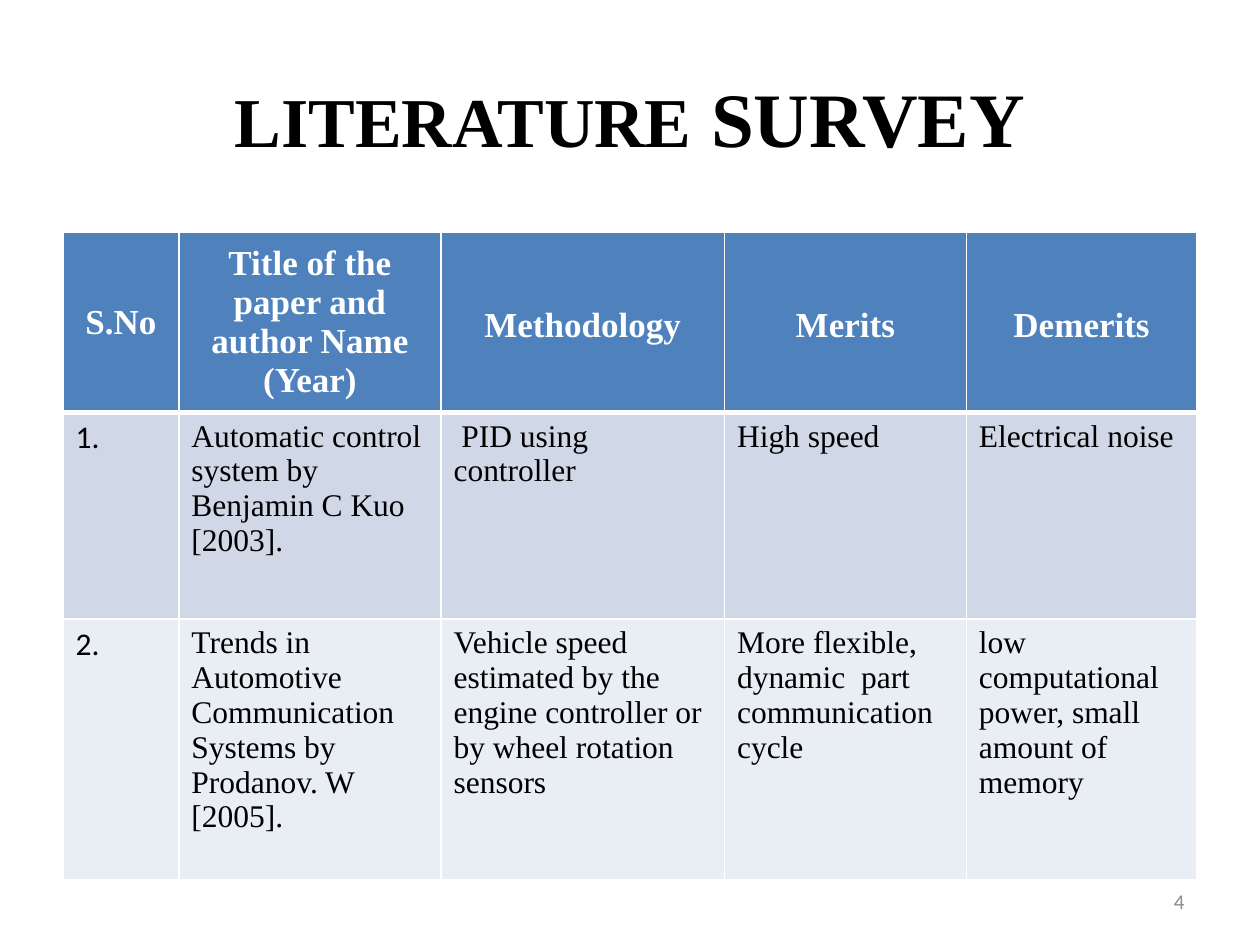
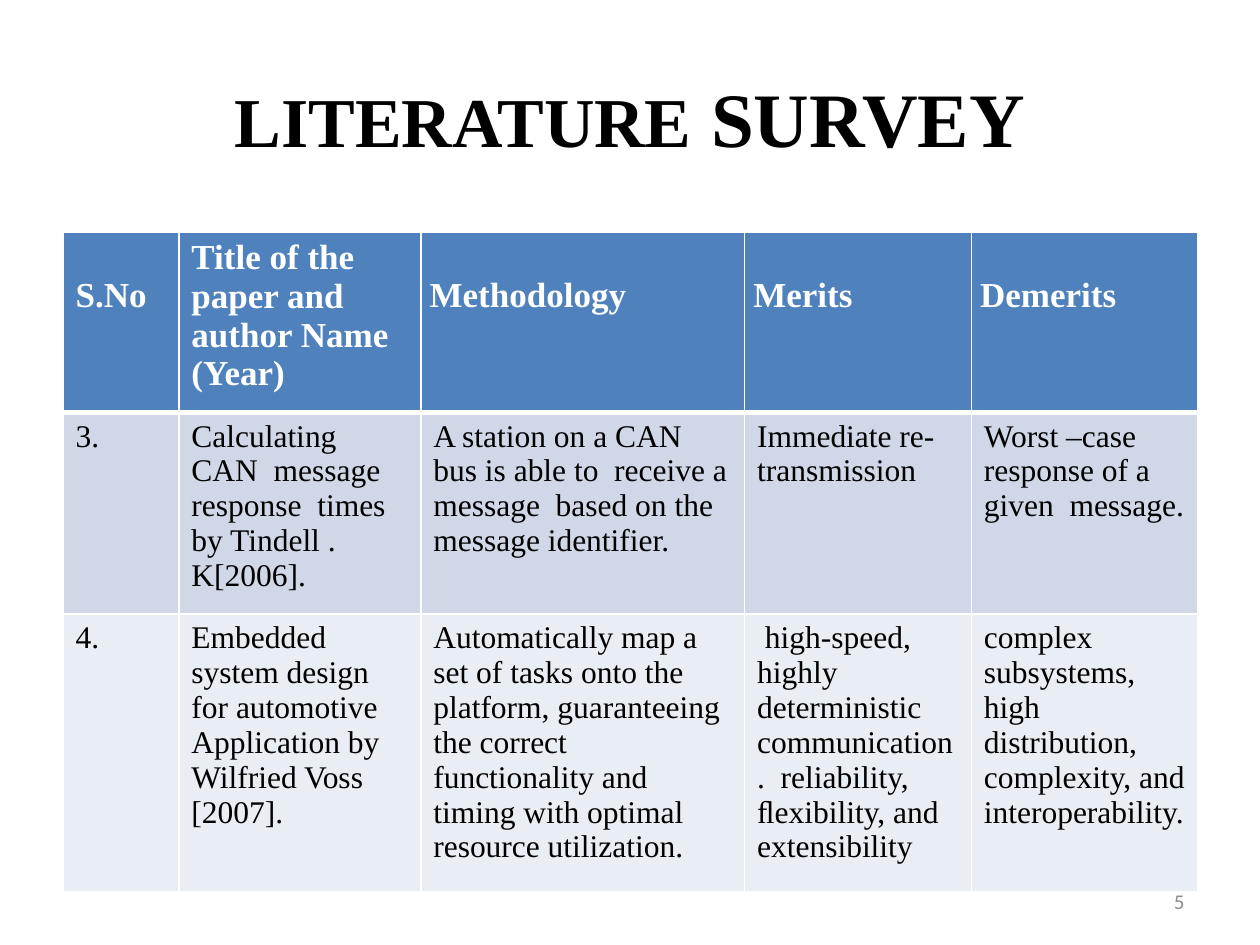
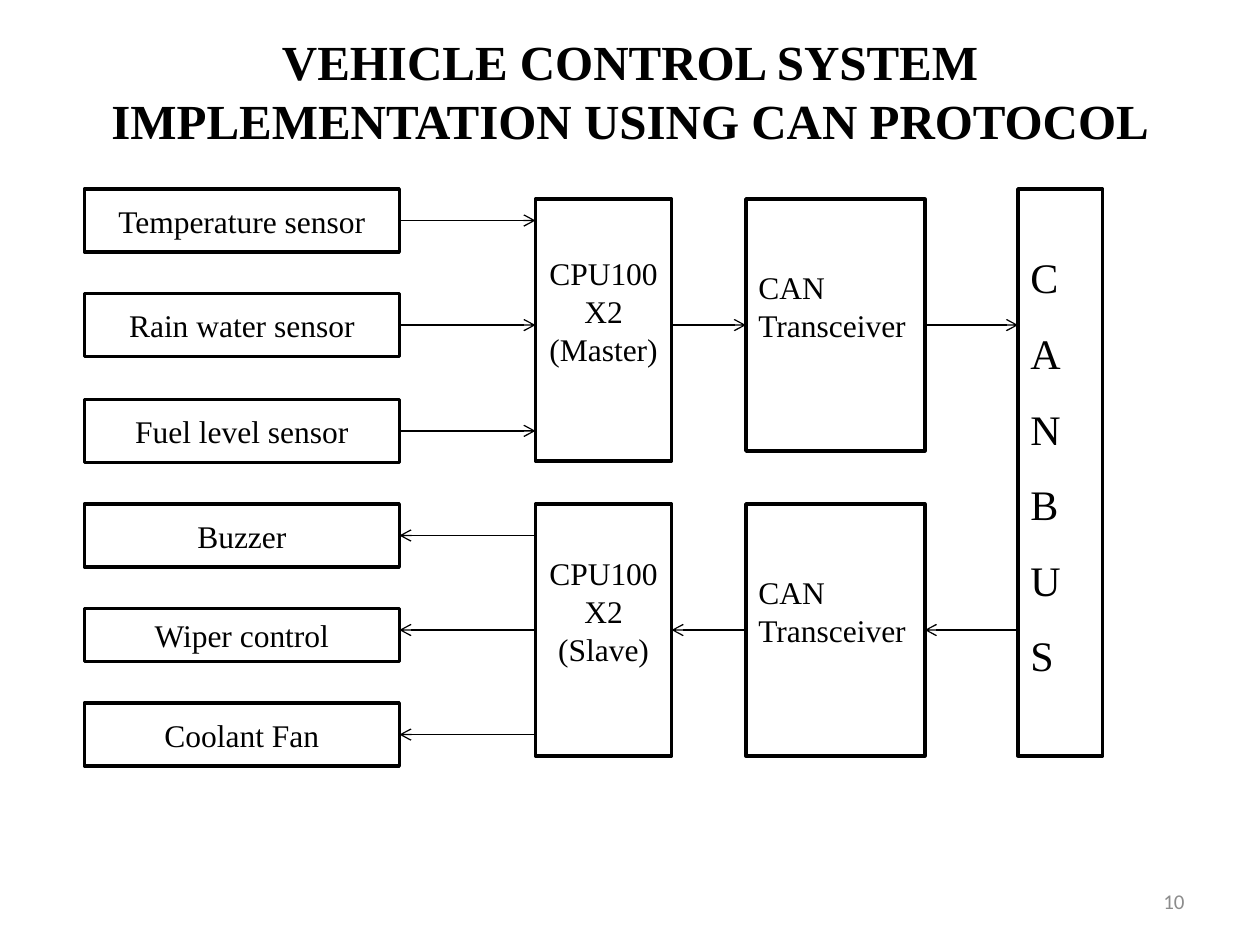
from lxml import etree
from pptx import Presentation, util as u
from pptx.dml.color import RGBColor
from pptx.enum import shapes, text
from pptx.oxml import ns

SERIF, SANS = "Times New Roman", "Calibri"
BLACK, WHITE, GREY = "000000", "FFFFFF", "8C8C8C"
HEADER_FILL, ROW_FILLS = "4F81BD", ("D0D8E8", "E9EDF4")
LEFT, MIDDLE, TOP = text.PP_ALIGN.LEFT, text.MSO_ANCHOR.MIDDLE, text.MSO_ANCHOR.TOP
CENTER, RIGHT = text.PP_ALIGN.CENTER, text.PP_ALIGN.RIGHT
TITLE_BOX = (0.5, 0.3, 9, 1.25)
NUMBER_BOX = (7.17, 6.95, 2.33, 0.4)
TABLE_LEFT, TABLE_TOP = 0.5, 1.84
HEADINGS = ["S.No", "Title of the paper and author Name (Year)",
            "Methodology", "Merits", "Demerits"]

FIRST_PAPERS = [
    ["1.", "Automatic control system by Benjamin C Kuo [2003].",
     " PID using controller", "High speed", "Electrical noise"],
    ["2.", "Trends in Automotive Communication Systems by Prodanov. W [2005].",
     "Vehicle speed estimated by the engine controller or by wheel rotation sensors",
     "More flexible,\ndynamic  part communication cycle",
     "low computational power, small amount of memory"],
]
SECOND_PAPERS = [
    ["3.", "Calculating CAN  message response  times by Tindell . K[2006].",
     "A station on a CAN bus is able to  receive a message  based on the message identifier.",
     "Immediate re-transmission", "Worst –case  response of a given  message."],
    ["4.", "Embedded system design for automotive\nApplication by Wilfried Voss [2007].",
     "Automatically map a set of tasks onto the platform, guaranteeing the correct "
     "functionality and timing with optimal resource utilization.",
     " high-speed, highly deterministic communication.  reliability, ﬂexibility, and extensibility",
     "complex subsystems, high distribution, complexity, and interoperability."],
]


def color(value):
    return RGBColor.from_string(value)


def inches(values):
    return [u.Inches(value) for value in values]


def write(frame, content, size=18, font=SERIF, fill=BLACK, bold=False, align=LEFT, spacing=None):
    """Fill a text frame; content is a string, or a list of (string, size) runs of one paragraph."""
    lines = [[(line, size)] for line in content.split("\n")] if isinstance(content, str) else [content]
    for index, runs in enumerate(lines):
        paragraph = frame.add_paragraph() if index else frame.paragraphs[0]
        paragraph.alignment = align
        if spacing:
            paragraph.line_spacing = spacing
        for words, points in runs:
            run = paragraph.add_run()
            run.text = words
            run.font.size = u.Pt(points)
            run.font.name = font
            run.font.bold = bold
            run.font.color.rgb = color(fill)


def add_text(slide, box, content, top=0.05, bottom=0.05, **style):
    frame = slide.shapes.add_textbox(*inches(box)).text_frame
    frame.word_wrap = True
    frame.vertical_anchor = MIDDLE
    frame.margin_top, frame.margin_bottom = inches((top, bottom))
    write(frame, content, **style)


def add_page(presentation, title, number, **title_style):
    slide = presentation.slides.add_slide(presentation.slide_layouts[6])
    add_text(slide, TITLE_BOX, title, bold=True, align=CENTER, **title_style)
    add_text(slide, NUMBER_BOX, number, size=12, font=SANS, fill=GREY, align=RIGHT)
    return slide


def set_borders(cell, **widths):
    """Draw white borders of the given widths in points, keyed L, R, T and B."""
    properties = cell._tc.get_or_add_tcPr()
    for side in "LRTB":
        line = etree.SubElement(properties, ns.qn(f"a:ln{side}"), w=str(u.Pt(widths.get(side, 1))))
        fill = etree.SubElement(line, ns.qn("a:solidFill"))
        etree.SubElement(fill, ns.qn("a:srgbClr"), val=WHITE)


def fill_cell(cell, fill):
    cell.fill.solid()
    cell.fill.fore_color.rgb = color(fill)


def add_survey(presentation, number, papers, widths, heights, centered, number_font):
    """Add a survey slide whose headings are centred, or left-aligned from the top."""
    title = [("LITERATURE", 40), (" SURVEY", 44)]
    slide = add_page(presentation, title, number)
    box = (TABLE_LEFT, TABLE_TOP, sum(widths), sum(heights))
    table = slide.shapes.add_table(len(heights), len(widths), *inches(box)).table
    for column, width in zip(table.columns, widths):
        column.width = u.Inches(width)
    for row, height in zip(table.rows, heights):
        row.height = u.Inches(height)

    for index, heading in enumerate(HEADINGS):
        cell = table.cell(0, index)
        set_borders(cell, B=3)
        fill_cell(cell, HEADER_FILL)
        narrow = index >= 2
        if narrow:
            cell.margin_left = cell.margin_right = u.Inches(0.07)
            cell.margin_top = cell.margin_bottom = 0
        if centered:
            cell.vertical_anchor = MIDDLE
        elif index != 1:
            cell.margin_top = u.Inches(0.35)
        write(cell.text_frame, heading, size=20, fill=WHITE, bold=True,
              align=CENTER if centered else LEFT,
              spacing=1.15 if narrow and centered else None)

    for row, (paper, fill) in enumerate(zip(papers, ROW_FILLS), 1):
        for column, entry in enumerate(paper):
            cell = table.cell(row, column)
            set_borders(cell, T=3 if row == 1 else 1)
            fill_cell(cell, fill)
            write(cell.text_frame, entry, font=SERIF if column else number_font)


def add_block(slide, box, label, bottom=0.05, **style):
    block = slide.shapes.add_shape(shapes.MSO_SHAPE.RECTANGLE, *inches(box))
    block.shadow.inherit = False
    block.fill.background()
    block.line.color.rgb = color(BLACK)
    block.line.width = u.Pt(2)
    frame = block.text_frame
    frame.word_wrap = True
    frame.vertical_anchor = MIDDLE
    frame.margin_bottom = u.Inches(bottom)
    write(frame, label, **style)
    return block


def add_arrow(slide, start, end, y):
    """Draw a level arrow between facing sides, joined wherever y is a side's middle."""
    y = u.Inches(y)
    rightward = start.left < end.left
    start_x = start.left + start.width if rightward else start.left
    end_x = end.left if rightward else end.left + end.width
    arrow = slide.shapes.add_connector(shapes.MSO_CONNECTOR.STRAIGHT, start_x, y, end_x, y)
    tolerance = u.Inches(0.01)
    if abs(start.top + start.height // 2 - y) <= tolerance:
        arrow.begin_connect(start, 3 if rightward else 1)
    if abs(end.top + end.height // 2 - y) <= tolerance:
        arrow.end_connect(end, 1 if rightward else 3)
    arrow.line.color.rgb = color(BLACK)
    arrow.line.width = u.Pt(0.75)
    properties = arrow._element.spPr
    etree.SubElement(properties.find(ns.qn("a:ln")), ns.qn("a:tailEnd"), type="arrow")
    etree.SubElement(properties, ns.qn("a:effectLst"))


def add_node(slide, top, controller_height, label, devices, bus, y, sending):
    """Add devices, a controller and a transceiver, linked to or from the bus at height y."""
    controller = add_block(slide, (4.25, top, 1.08, controller_height), label,
                           bottom=0.35, align=CENTER)
    transceiver = add_block(slide, (5.92, top, 1.42, 2), "CAN\nTransceiver", bottom=0.35)
    links = [(controller, transceiver, y), (transceiver, bus, y)]
    for name, device_top, height, link_y in devices:
        device = add_block(slide, (0.67, device_top, 2.5, height), name, align=CENTER)
        links.append((device, controller, link_y))
    for near, far, link_y in links:
        add_arrow(slide, *((near, far) if sending else (far, near)), link_y)


def add_diagram(presentation, number):
    slide = add_page(presentation, "VEHICLE CONTROL SYSTEM IMPLEMENTATION USING CAN PROTOCOL",
                     number, size=28, top=0, bottom=0.42)
    bus = add_block(slide, (8.08, 1.5, 0.67, 4.5), "\n".join("CANBUS"),
                    bottom=0.35, size=24, spacing=1.5)
    sensors = [("Temperature sensor", 1.5, 0.5, 1.75), ("Rain water sensor", 2.33, 0.5, 2.58),
               ("Fuel level sensor", 3.17, 0.5, 3.42)]
    actuators = [("Buzzer", 4, 0.5, 4.25), ("Wiper control", 4.83, 0.42, 5),
                 ("Coolant Fan", 5.58, 0.5, 5.83)]
    add_node(slide, 1.58, 2.08, "CPU100X2 (Master)", sensors, bus, 2.58, sending=True)
    add_node(slide, 4, 2, "CPU100X2\n(Slave)", actuators, bus, 5, sending=False)


def main():
    presentation = Presentation()
    presentation.slide_width, presentation.slide_height = inches((10, 7.5))
    add_survey(presentation, "4", FIRST_PAPERS, (0.92, 2.08, 2.25, 1.92, 1.83),
               (1.32, 1.64, 2.07), centered=True, number_font=SANS)
    add_survey(presentation, "5", SECOND_PAPERS, (0.92, 1.92, 2.57, 1.8, 1.8),
               (1.38, 1.48, 2.13), centered=False, number_font=SERIF)
    add_diagram(presentation, "10")
    presentation.save("out.pptx")


if __name__ == "__main__":
    main()
